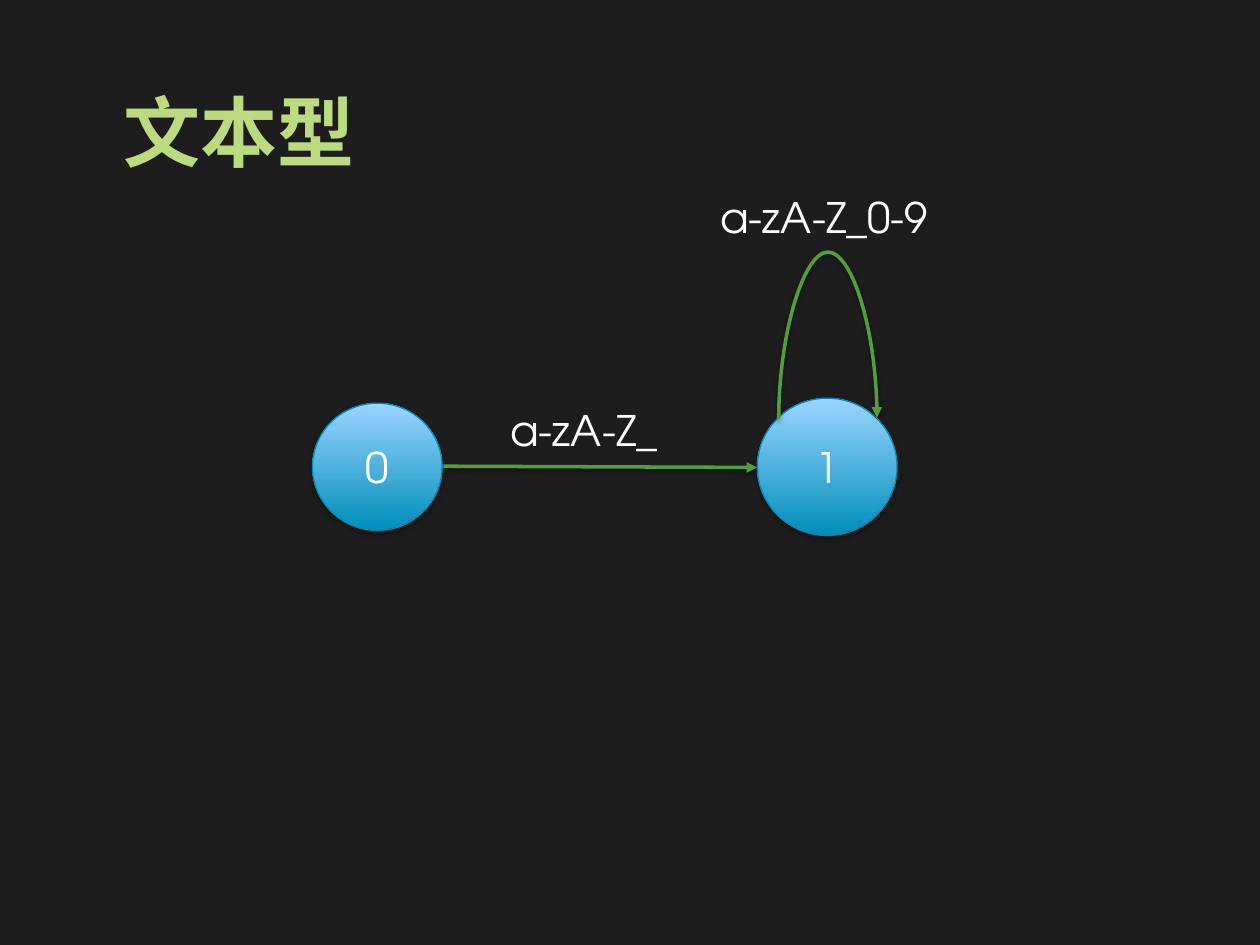
from lxml import etree
from pptx import Presentation
from pptx.dml.color import RGBColor
from pptx.enum.shapes import MSO_CONNECTOR as CONN, MSO_SHAPE as SHAPE
from pptx.enum.text import MSO_ANCHOR as ANCHOR, MSO_AUTO_SIZE as AUTO, PP_ALIGN as ALIGN
from pptx.oxml.ns import qn
from pptx.util import Inches, Pt

FONT = "TeX Gyre Adventor"
COLORS = {
    "background": "1D1D1D", "title": "BBDB7E", "text": "FFFFFF",
    "state_bottom": "008EBA", "state_top": "9AD5FF", "state_line": "0588B1",
    "arrow": "549E39", "shadow": "000000",
}
TITLE = ("文本型", (0.88, 0.62, 2.12, 0.84))
STATES = [("0", (2.48, 3.2, 1.03, 1.01)), ("1", (6.01, 3.16, 1.11, 1.09))]
LABELS = [
    ("a-zA-Z_", (3.95, 3.16, 1.41, 0.5), ALIGN.LEFT),
    ("a-zA-Z_0-9", (5.5, 1.47, 2.08, 0.5), ALIGN.CENTER),
]
STEP = ((3.52, 3.7), (6.01, 3.71))
LOOP = {"left": 6.18, "right": 6.96, "base": 3.32, "top": 1.98, "rise": 0.01}


def rgb(name):
    return RGBColor.from_string(COLORS[name])


def box(at):
    return [Inches(v) for v in at]


def write(tf, text, size, color, align, anchor=ANCHOR.TOP, bold=False):
    tf.word_wrap = True
    tf.vertical_anchor = anchor
    p = tf.paragraphs[0]
    p.alignment = align
    r = p.add_run()
    r.text = text
    r.font.name, r.font.size, r.font.bold = FONT, Pt(size), bold
    r.font.color.rgb = rgb(color)


def add_shadow(sp, alpha, dist):
    """Give a shape or connector a soft shadow straight below it."""
    effects = etree.SubElement(sp._element.spPr, qn("a:effectLst"))
    shadow = etree.SubElement(
        effects, qn("a:outerShdw"), blurRad=str(Pt(3.1)), dist=str(Pt(dist)),
        dir="5400000", rotWithShape="0")
    color = etree.SubElement(shadow, qn("a:srgbClr"), val=COLORS["shadow"])
    etree.SubElement(color, qn("a:alpha"), val=str(alpha * 1000))


def add_state(shapes, text, at):
    sp = shapes.add_shape(SHAPE.OVAL, *box(at))
    sp.fill.gradient()
    sp.fill.gradient_angle = 90
    for stop, position, name in zip(
            sp.fill.gradient_stops, (0, 1), ("state_bottom", "state_top")):
        stop.position = position
        stop.color.rgb = rgb(name)
    sp.line.color.rgb = rgb("state_line")
    sp.line.width = Pt(0.75)
    add_shadow(sp, 35, 1.8)
    write(sp.text_frame, text, 24, "text", ALIGN.CENTER, ANCHOR.MIDDLE)


def add_arrow(shapes, kind, start, end):
    cxn = shapes.add_connector(kind, *box(start + end))
    cxn.line.color.rgb = rgb("arrow")
    cxn.line.width = Pt(2)
    etree.SubElement(cxn.line._get_or_add_ln(), qn("a:tailEnd"), type="triangle")
    add_shadow(cxn, 38, 1.6)
    return cxn


def add_loop(shapes, left, right, base, top, rise):
    """Draw a curved arrow that leaves a state upwards and returns to it.

    The frame is a thin upright box turned by 90 degrees and flipped both ways;
    the adjustment sets how far the curve reaches, in widths of that box.
    """
    x, half = (left + right) / 2, (right - left) / 2
    cxn = add_arrow(shapes, CONN.CURVE, (x + rise / 2, base + half),
                    (x - rise / 2, base - half))
    spPr = cxn._element.spPr
    spPr.find(qn("a:xfrm")).set("rot", "5400000")
    guides = spPr.find(qn("a:prstGeom")).find(qn("a:avLst"))
    reach = round((base + rise / 2 - top) / rise * 100000)
    etree.SubElement(guides, qn("a:gd"), name="adj1", fmla=f"val {reach}")


def main():
    prs = Presentation()
    prs.slide_width, prs.slide_height = Inches(10), Inches(7.5)
    s = prs.slides.add_slide(prs.slide_layouts[5])
    s.background.fill.solid()
    s.background.fill.fore_color.rgb = rgb("background")

    text, at = TITLE
    title = s.shapes.title
    title.left, title.top, title.width, title.height = box(at)
    write(title.text_frame, text, 44, "title", ALIGN.LEFT, bold=True)
    title.text_frame.auto_size = AUTO.SHAPE_TO_FIT_TEXT

    for text, at in STATES:
        add_state(s.shapes, text, at)
    add_arrow(s.shapes, CONN.STRAIGHT, *STEP)
    add_loop(s.shapes, **LOOP)
    for text, at, align in LABELS:
        tf = s.shapes.add_textbox(*box(at)).text_frame
        write(tf, text, 24, "text", align)
        tf.auto_size = AUTO.SHAPE_TO_FIT_TEXT

    prs.save("out.pptx")


if __name__ == "__main__":
    main()
